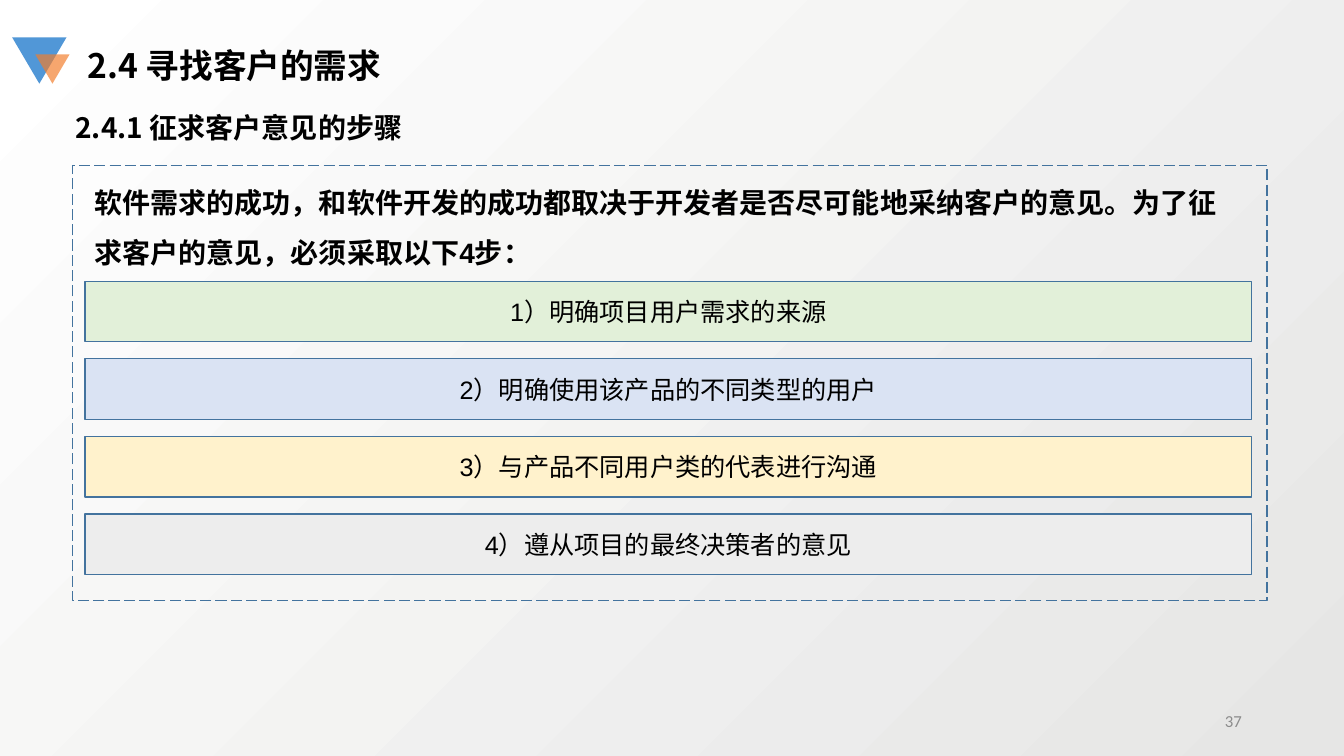
from dataclasses import dataclass

import pptx
import pptx.dml.color
import pptx.enum.dml
import pptx.enum.shapes
import pptx.enum.text
import pptx.oxml
import pptx.oxml.ns
import pptx.shapes.autoshape
import pptx.slide
import pptx.text.text
import pptx.util
from lxml import etree

RGBColor = pptx.dml.color.RGBColor
Align = pptx.enum.text.PP_ALIGN
Anchor = pptx.enum.text.MSO_ANCHOR
Preset = pptx.enum.shapes.MSO_SHAPE

BLACK = RGBColor(0x00, 0x00, 0x00)
WHITE = RGBColor(0xFF, 0xFF, 0xFF)
PALE_GREY = RGBColor(0xE6, 0xE6, 0xE5)
NUMBER_GREY = RGBColor(0x8C, 0x8C, 0x8C)
OUTLINE_BLUE = RGBColor(0x43, 0x73, 0x9E)
MARK_BLUE = RGBColor(0x51, 0x97, 0xD7)
MARK_ORANGE = RGBColor(0xF3, 0x7D, 0x2A)
STEP_GREEN = RGBColor(0xE2, 0xF0, 0xD9)
STEP_BLUE = RGBColor(0xDA, 0xE3, 0xF3)
STEP_YELLOW = RGBColor(0xFF, 0xF2, 0xCC)
STEP_GREY = RGBColor(0xED, 0xED, 0xED)

CJK_FONT = "Noto Sans CJK SC"
SLIDE_WIDTH = pptx.util.Inches(13.33)
SLIDE_HEIGHT = pptx.util.Inches(7.5)
COLUMNS, ROWS = 160, 90


@dataclass(frozen=True)
class Area:
    """A rectangle measured in columns and rows of the slide grid."""
    column: float
    row: float
    columns: float
    rows: float

    def lengths(self) -> tuple[int, int, int, int]:
        across, down = SLIDE_WIDTH / COLUMNS, SLIDE_HEIGHT / ROWS
        return (round(self.column * across), round(self.row * down),
                round(self.columns * across), round(self.rows * down))


@dataclass(frozen=True)
class Style:
    size: float
    font: str = "Arial"
    color: RGBColor = BLACK
    bold: bool = False
    align: Align = Align.LEFT
    anchor: Anchor = Anchor.TOP
    line_spacing: float = 1.0


@dataclass(frozen=True)
class Step:
    text: str
    fill: RGBColor


@dataclass(frozen=True)
class Mark:
    area: Area
    color: RGBColor
    opacity: int


TITLE = Style(24, CJK_FONT, bold=True)
SUBTITLE = Style(20, CJK_FONT, bold=True)
INTRO = Style(20, bold=True, line_spacing=1.5)
STEP = Style(18, align=Align.CENTER, anchor=Anchor.MIDDLE)
PAGE_NUMBER = Style(12, "Calibri", NUMBER_GREY, align=Align.RIGHT, anchor=Anchor.MIDDLE)

FRAME_AREA = Area(8.64, 19.68, 142.2, 51.84)
FIRST_STEP_AREA = Area(10.14, 33.48, 138.84, 7.2)
STEP_PITCH = 9.24

STEPS = [
    Step("1）明确项目用户需求的来源", STEP_GREEN),
    Step("2）明确使用该产品的不同类型的用户", STEP_BLUE),
    Step("3）与产品不同用户类的代表进行沟通", STEP_YELLOW),
    Step("4）遵从项目的最终决策者的意见", STEP_GREY),
]
MARKS = [
    Mark(Area(1.44, 4.44, 6.48, 5.52), MARK_BLUE, 100),
    Mark(Area(4.2, 6.48, 4.08, 3.48), MARK_ORANGE, 68),
]


def write(frame: pptx.text.text.TextFrame, text: str, style: Style) -> None:
    frame.word_wrap = True
    frame.auto_size = pptx.enum.text.MSO_AUTO_SIZE.NONE
    frame.vertical_anchor = style.anchor
    para = frame.paragraphs[0]
    para.text = text
    para.alignment = style.align
    para.line_spacing = style.line_spacing
    font = para.font
    font.size = pptx.util.Pt(style.size)
    font.bold = style.bold
    font.color.rgb = style.color
    font.name = style.font
    properties = para._p.pPr.find(pptx.oxml.ns.qn("a:defRPr"))
    east_asian = etree.SubElement(properties, pptx.oxml.ns.qn("a:ea"))
    east_asian.set("typeface", CJK_FONT)


def add_text(page: pptx.slide.Slide, area: Area, text: str, style: Style) -> None:
    write(page.shapes.add_textbox(*area.lengths()).text_frame, text, style)


def add_outlined_box(page: pptx.slide.Slide, area: Area) -> pptx.shapes.autoshape.Shape:
    box = page.shapes.add_shape(Preset.RECTANGLE, *area.lengths())
    box.shadow.inherit = False
    box.fill.background()
    box.line.color.rgb = OUTLINE_BLUE
    box.line.width = pptx.util.Pt(1)
    return box


def add_step(page: pptx.slide.Slide, index: int, step: Step) -> None:
    first = FIRST_STEP_AREA
    area = Area(first.column, first.row + index * STEP_PITCH, first.columns, first.rows)
    box = add_outlined_box(page, area)
    box.fill.solid()
    box.fill.fore_color.rgb = step.fill
    write(box.text_frame, step.text, STEP)


def add_mark(page: pptx.slide.Slide, mark: Mark) -> None:
    """Draw a triangle that points down."""
    triangle = page.shapes.add_shape(Preset.ISOSCELES_TRIANGLE, *mark.area.lengths())
    triangle.rotation = 180
    triangle.shadow.inherit = False
    triangle.line.fill.background()
    triangle.fill.solid()
    triangle.fill.fore_color.rgb = mark.color
    if mark.opacity < 100:
        color = triangle._element.spPr.find(".//" + pptx.oxml.ns.qn("a:srgbClr"))
        alpha = etree.SubElement(color, pptx.oxml.ns.qn("a:alpha"))
        alpha.set("val", str(mark.opacity * 1000))


def paint_background(page: pptx.slide.Slide) -> None:
    fill = page.background.fill
    fill.gradient()
    fill.gradient_angle = 135
    for stop, color in zip(fill.gradient_stops, (PALE_GREY, WHITE)):
        stop.color.rgb = color


def main() -> None:
    deck = pptx.Presentation()
    deck.slide_width, deck.slide_height = SLIDE_WIDTH, SLIDE_HEIGHT
    page = deck.slides.add_slide(deck.slide_layouts.get_by_name("Title Only"))
    paint_background(page)

    title = page.shapes.title
    title.left, title.top, title.width, title.height = Area(9.24, 4.8, 69.36, 6).lengths()
    write(title.text_frame, "2.4 寻找客户的需求", TITLE)
    add_text(page, Area(7.8, 12.6, 110.28, 5.28), "2.4.1 征求客户意见的步骤", SUBTITLE)

    frame = add_outlined_box(page, FRAME_AREA)
    frame.line.dash_style = pptx.enum.dml.MSO_LINE.LONG_DASH
    add_text(page, Area(10.08, 19.44, 138.84, 12.36),
             "软件需求的成功，和软件开发的成功都取决于开发者是否尽可能地采纳客户的意见。"
             "为了征求客户的意见，必须采取以下4步：", INTRO)
    for index, step in enumerate(STEPS):
        add_step(page, index, step)
    for mark in MARKS:
        add_mark(page, mark)
    add_text(page, Area(113.04, 83.4, 36, 4.8), "37", PAGE_NUMBER)

    deck.save("out.pptx")


if __name__ == "__main__":
    main()
